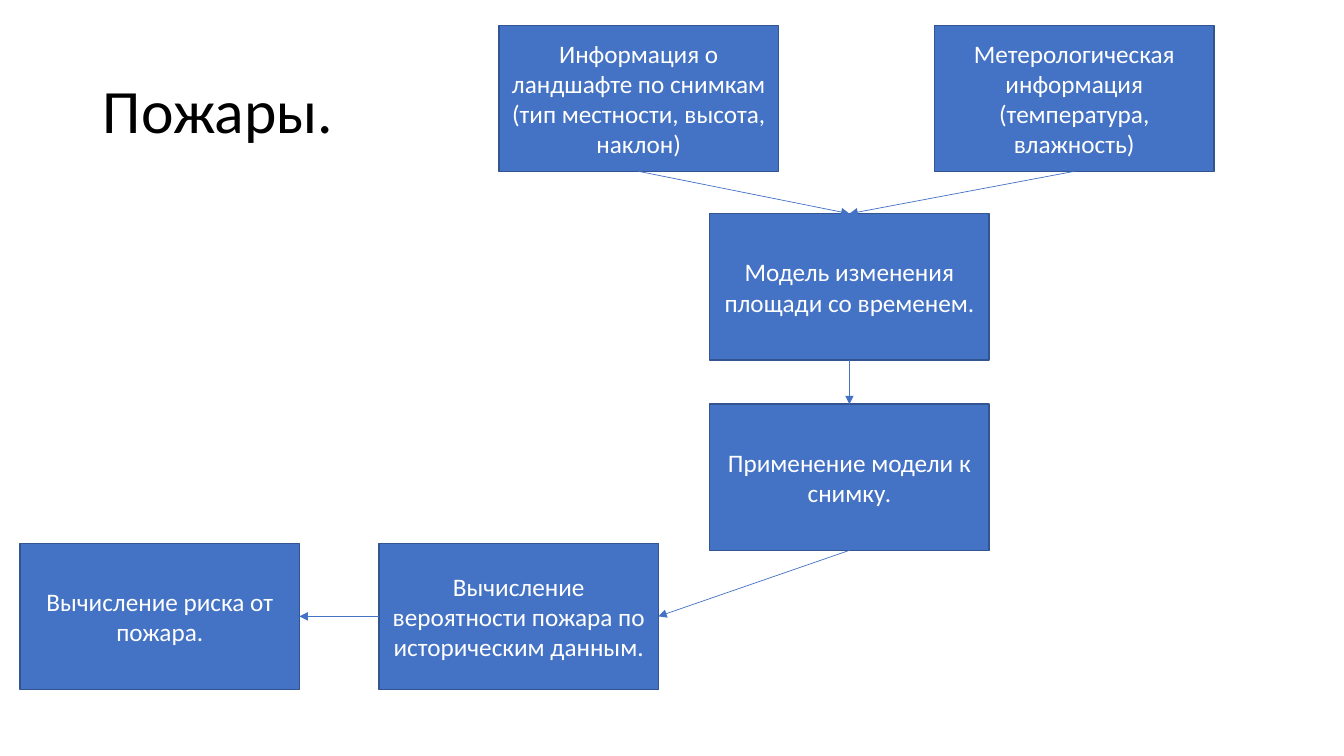
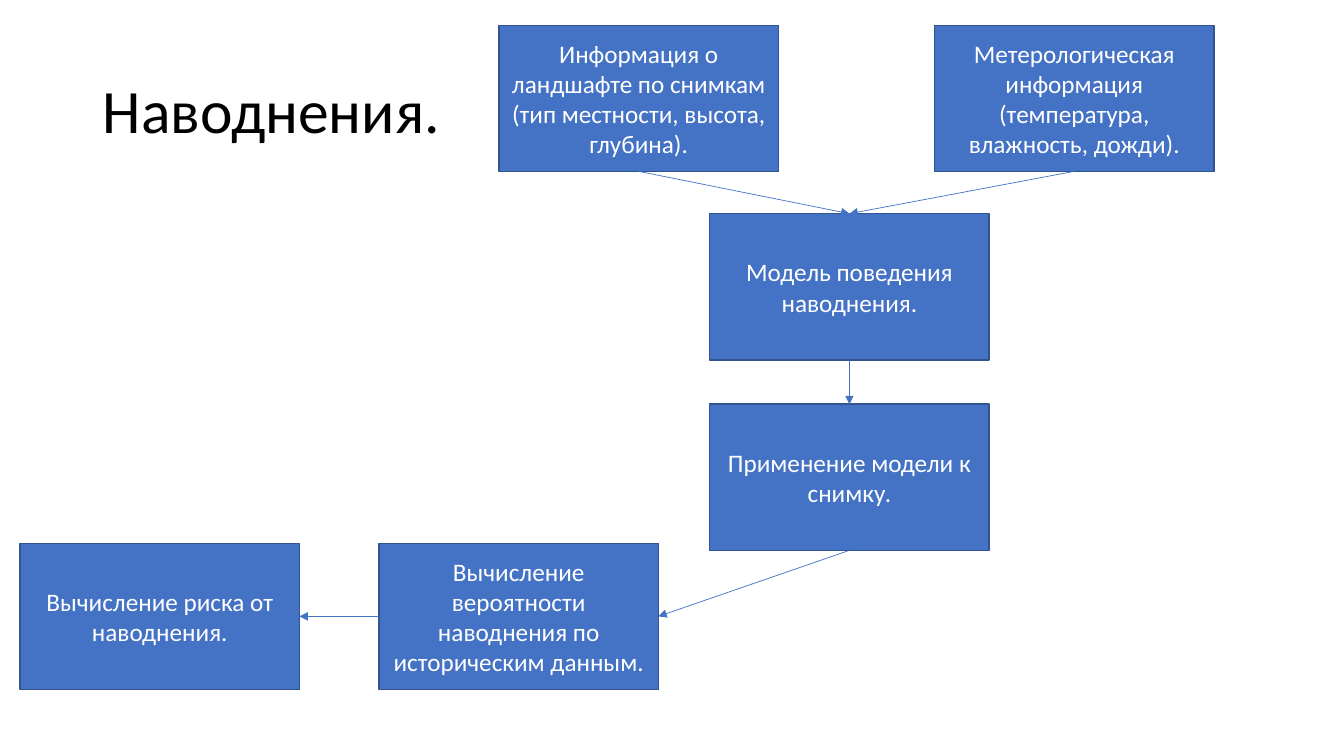
from pptx import Presentation
from pptx.dml.color import RGBColor
from pptx.enum.shapes import MSO_CONNECTOR, MSO_SHAPE
from pptx.enum.text import MSO_ANCHOR, MSO_AUTO_SIZE, PP_ALIGN
from pptx.oxml.ns import qn
from pptx.util import Emu, Pt
from lxml import etree

RECTANGLE = MSO_SHAPE.RECTANGLE
STRAIGHT = MSO_CONNECTOR.STRAIGHT
MIDDLE = MSO_ANCHOR.MIDDLE
LEFT_ALIGN, CENTER = PP_ALIGN.LEFT, PP_ALIGN.CENTER
NO_AUTOFIT = MSO_AUTO_SIZE.NONE

# Content: one diagram per slide
DIAGRAMS = [
    {
        "title": "Пожары.",
        "landscape": "Информация о ландшафте по снимкам (тип местности, высота, наклон)",
        "weather": "Метерологическая информация (температура, влажность)",
        "model": "Модель изменения площади со временем.",
        "apply": "Применение модели к снимку.",
        "probability": "Вычисление вероятности пожара по историческим данным.",
        "risk": "Вычисление риска от пожара.",
    },
    {
        "title": "Наводнения.",
        "landscape": "Информация о ландшафте по снимкам (тип местности, высота, глубина).",
        "weather": "Метерологическая информация (температура, влажность, дожди).",
        "model": "Модель поведения наводнения.",
        "apply": "Применение модели к снимку.",
        "probability": "Вычисление вероятности наводнения по историческим данным.",
        "risk": "Вычисление риска от наводнения.",
    },
]

# Shared layout in px, 100 px to the inch
PX = 9144
SLIDE_SIZE = (1333, 750)
TITLE_AREA = (92, 40, 1150, 145)
STEP_SIZE = (277, 145)
INPUT_TOP, RESULT_TOP, MODEL_LEFT = 25, 539, 704
STEP_PLACES = {
    "landscape": (495, INPUT_TOP),
    "weather": (927, INPUT_TOP),
    "model": (MODEL_LEFT, 212),
    "apply": (MODEL_LEFT, 401),
    "probability": (376, RESULT_TOP),
    "risk": (20, RESULT_TOP),
}

# Connection sites of a rectangle, and the arrows between steps
TOP, LEFT, BOTTOM, RIGHT = range(4)
ARROWS = [
    ("landscape", BOTTOM, "model", TOP),
    ("weather", BOTTOM, "model", TOP),
    ("model", BOTTOM, "apply", TOP),
    ("apply", BOTTOM, "probability", RIGHT),
    ("probability", LEFT, "risk", RIGHT),
]

# Shared style
FONT = "Calibri"
BLUE, DARK_BLUE, WHITE, BLACK = "4472C4", "325491", "FFFFFF", "000000"


def px(*lengths):
    return [Emu(length * PX) for length in lengths]


def color(hex_code):
    return RGBColor.from_string(hex_code)


def set_text(shape, text, size, hex_code, alignment):
    frame = shape.text_frame
    frame.text = text
    frame.word_wrap = True
    frame.auto_size = NO_AUTOFIT
    frame.vertical_anchor = MIDDLE
    para = frame.paragraphs[0]
    para.alignment = alignment
    font = para.runs[0].font
    font.name, font.size = FONT, Pt(size)
    font.color.rgb = color(hex_code)
    return para


def add_title(slide, text):
    title = slide.shapes.title
    title.left, title.top, title.width, title.height = px(*TITLE_AREA)
    para = set_text(title, text, 44, BLACK, LEFT_ALIGN)
    para.line_spacing = 0.9


def add_step(slide, text, place):
    box = slide.shapes.add_shape(RECTANGLE, *px(*place, *STEP_SIZE))
    box.shadow.inherit = False
    box.fill.solid()
    box.fill.fore_color.rgb = color(BLUE)
    box.line.color.rgb = color(DARK_BLUE)
    box.line.width = Pt(1)
    set_text(box, text, 18, WHITE, CENTER)
    return box


def add_arrow(slide, source, source_site, target, target_site):
    arrow = slide.shapes.add_connector(STRAIGHT, 0, 0, 0, 0)
    arrow.begin_connect(source, source_site)
    arrow.end_connect(target, target_site)
    arrow.line.color.rgb = color(BLUE)
    arrow.line.width = Pt(0.5)
    line = arrow.line._get_or_add_ln()
    etree.SubElement(line, qn("a:tailEnd"), type="triangle")
    etree.SubElement(arrow._element.spPr, qn("a:effectLst"))


def build_slide(deck, diagram):
    slide = deck.slides.add_slide(deck.slide_layouts[5])
    add_title(slide, diagram["title"])
    steps = {name: add_step(slide, diagram[name], place)
             for name, place in STEP_PLACES.items()}
    for source, source_site, target, target_site in ARROWS:
        add_arrow(slide, steps[source], source_site, steps[target], target_site)


def main():
    deck = Presentation()
    deck.slide_width, deck.slide_height = px(*SLIDE_SIZE)
    for diagram in DIAGRAMS:
        build_slide(deck, diagram)
    deck.save("out.pptx")


if __name__ == "__main__":
    main()
